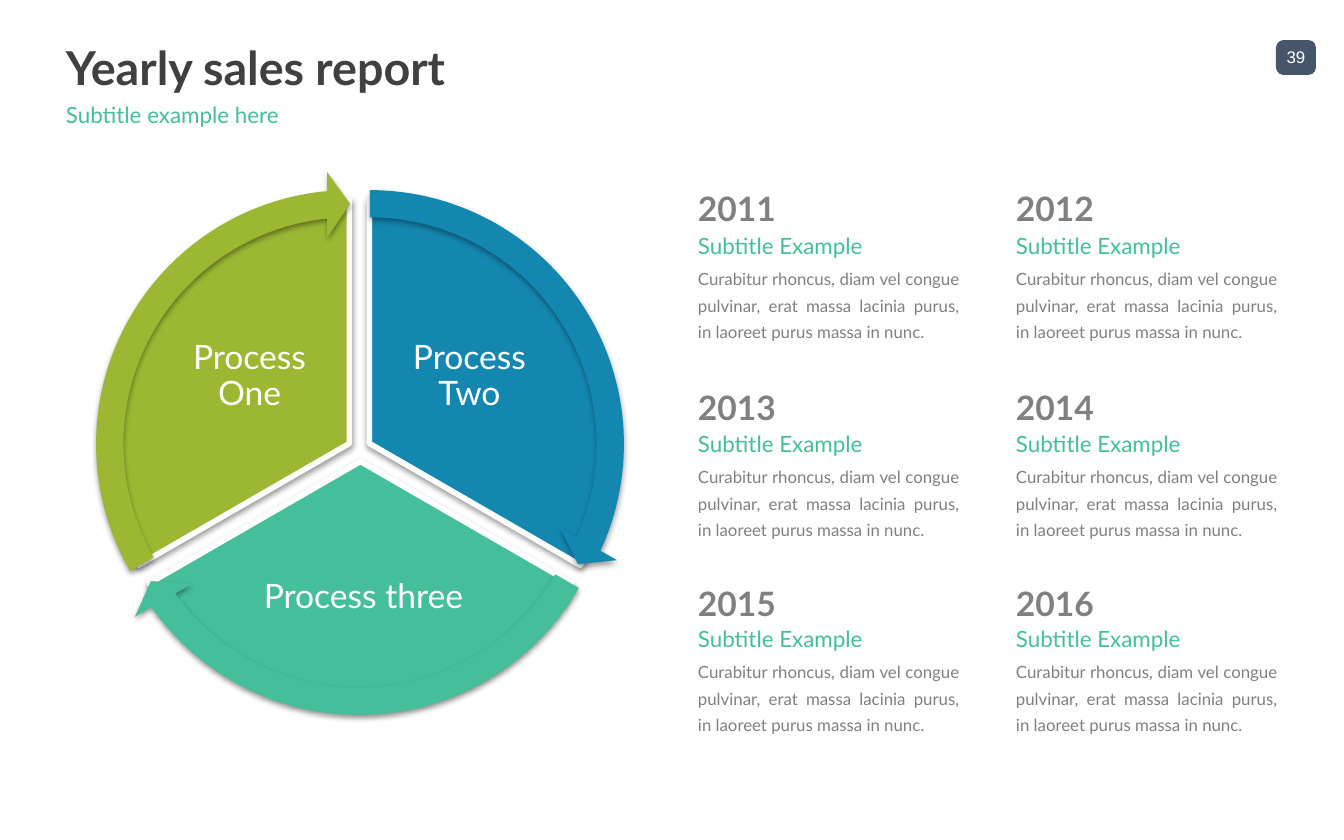
from dataclasses import dataclass
from lxml.etree import SubElement
from pptx import Presentation
from pptx.dml.color import RGBColor
from pptx.enum.shapes import MSO_SHAPE
from pptx.enum.text import MSO_ANCHOR, PP_ALIGN
from pptx.oxml.ns import qn
from pptx.util import Emu, Pt

SCALE = 914400 / 134.4


@dataclass(frozen=True)
class Theme:
    font: str = "Lato"
    plain: str = "Arial"
    dark: str = "404040"
    gray: str = "808080"
    white: str = "FFFFFF"
    slate: str = "46556A"
    blue: str = "1487B1"
    teal: str = "44BE9B"
    green: str = "9CB833"
    black: str = "000000"
    title: int = 25
    head: int = 18
    sub: int = 12
    small: int = 9


THEME = Theme()
BODY = ("Curabitur rhoncus, diam vel congue pulvinar, erat massa lacinia purus, "
        "in laoreet purus massa in nunc.")


def px(num):
    return Emu(round(num * SCALE))


def add_text(shapes, box, words, size, color, bold=False, font=THEME.font,
             align=PP_ALIGN.LEFT, anchor=MSO_ANCHOR.MIDDLE, pad=(0, 5),
             wrap=True, lines=None, before=None):
    frame = shapes.add_textbox(*map(px, box)).text_frame
    frame.word_wrap = wrap
    frame.vertical_anchor = anchor
    frame.margin_left = frame.margin_right = px(pad[0])
    frame.margin_top = frame.margin_bottom = px(pad[1])
    para = frame.paragraphs[0]
    para.alignment = align
    if lines:
        para.line_spacing = lines
    if before:
        para.space_before = Pt(before)
    run = para.add_run()
    run.text = words
    run.font.name = font
    run.font.size = Pt(size)
    run.font.bold = bold
    run.font.color.rgb = RGBColor.from_string(color)


def add_form(shapes, kind, box, fill, adjust, edge=None):
    shape = shapes.add_shape(kind, *map(px, box))
    for spot, value in enumerate(adjust):
        shape.adjustments[spot] = value
    shape.fill.solid()
    shape.fill.fore_color.rgb = RGBColor.from_string(fill)
    if edge:
        shape.line.color.rgb = RGBColor.from_string(edge)
        shape.line.width = Pt(3)
    else:
        shape.line.fill.background()
    shape.shadow.inherit = False
    return shape


def add_shade(shape):
    effects = shape._element.spPr.find(qn("a:effectLst"))
    shade = SubElement(effects, qn("a:outerShdw"), blurRad=str(Pt(3.1)),
                       dist=str(Pt(1.6)), dir="5400000", rotWithShape="0")
    color = SubElement(shade, qn("a:srgbClr"), val=THEME.black)
    SubElement(color, qn("a:alpha"), val="38000")


def angle(degrees):
    return degrees * 0.6


def add_wheel(slide):
    shapes = slide.shapes.add_group_shape().shapes
    parts = (
        ("Process Two", THEME.blue, 270, 30, (126, 200), (97, 171),
         (383, 304, 173, 145), (14.73, 161.99)),
        ("Process three", THEME.teal, 30, 150, (117, 218), (86, 188),
         (233, 534, 261, 128), (86.72, 18.01)),
        ("Process One", THEME.green, 150, 270, (106, 200), (77, 171),
         (163, 304, 173, 145), (158.73, 90)),
    )
    for words, color, start, end, spot, _, label, _ in parts:
        add_shade(add_form(shapes, MSO_SHAPE.PIE, (*spot, 487, 487), color,
                           (angle(start), angle(end)), THEME.white))
        add_text(shapes, label, words, THEME.head, THEME.white,
                 align=PP_ALIGN.CENTER, pad=(4, 4), lines=0.9)
    for _, color, _, _, _, spot, _, sweep in parts:
        add_shade(add_form(shapes, MSO_SHAPE.CIRCULAR_ARROW, (*spot, 546, 546),
                           color, (0.05, 3.28, *sweep, 0.06)))


def add_years(slide):
    for row, (top, mid) in enumerate(((187, 232), (386, 430), (582, 625))):
        for col, left in enumerate((698, 1016)):
            year = str(2011 + row * 2 + col)
            add_text(slide.shapes, (left, top, 261, 42), year, THEME.head,
                     THEME.gray, bold=True)
            add_text(slide.shapes, (left, mid, 261, 28), "Subtitle Example",
                     THEME.sub, THEME.teal)
            add_text(slide.shapes, (left, mid + 31, 261, 103), BODY,
                     THEME.small, THEME.gray, align=PP_ALIGN.JUSTIFY,
                     anchor=MSO_ANCHOR.TOP, pad=(0, 0), lines=1.3, before=1.8)


def add_header(slide):
    shapes = slide.shapes
    add_form(shapes, MSO_SHAPE.ROUNDED_RECTANGLE, (1276, 40, 40, 35),
             THEME.slate, (0.22,))
    add_text(shapes, (1285, 39, 22, 36), "39", THEME.small, THEME.white,
             font=THEME.plain, align=PP_ALIGN.CENTER, pad=(0, 0), wrap=False)
    add_text(shapes, (66, 40, 1210, 53), "Yearly sales report", THEME.title,
             THEME.dark, bold=True)
    add_text(shapes, (66, 101, 1210, 28), "Subtitle example here", THEME.sub,
             THEME.teal)


def main():
    deck = Presentation()
    deck.slide_width, deck.slide_height = px(1344), px(840)
    slide = deck.slides.add_slide(deck.slide_layouts[6])
    add_header(slide)
    add_years(slide)
    add_wheel(slide)
    deck.save("out.pptx")


main()
